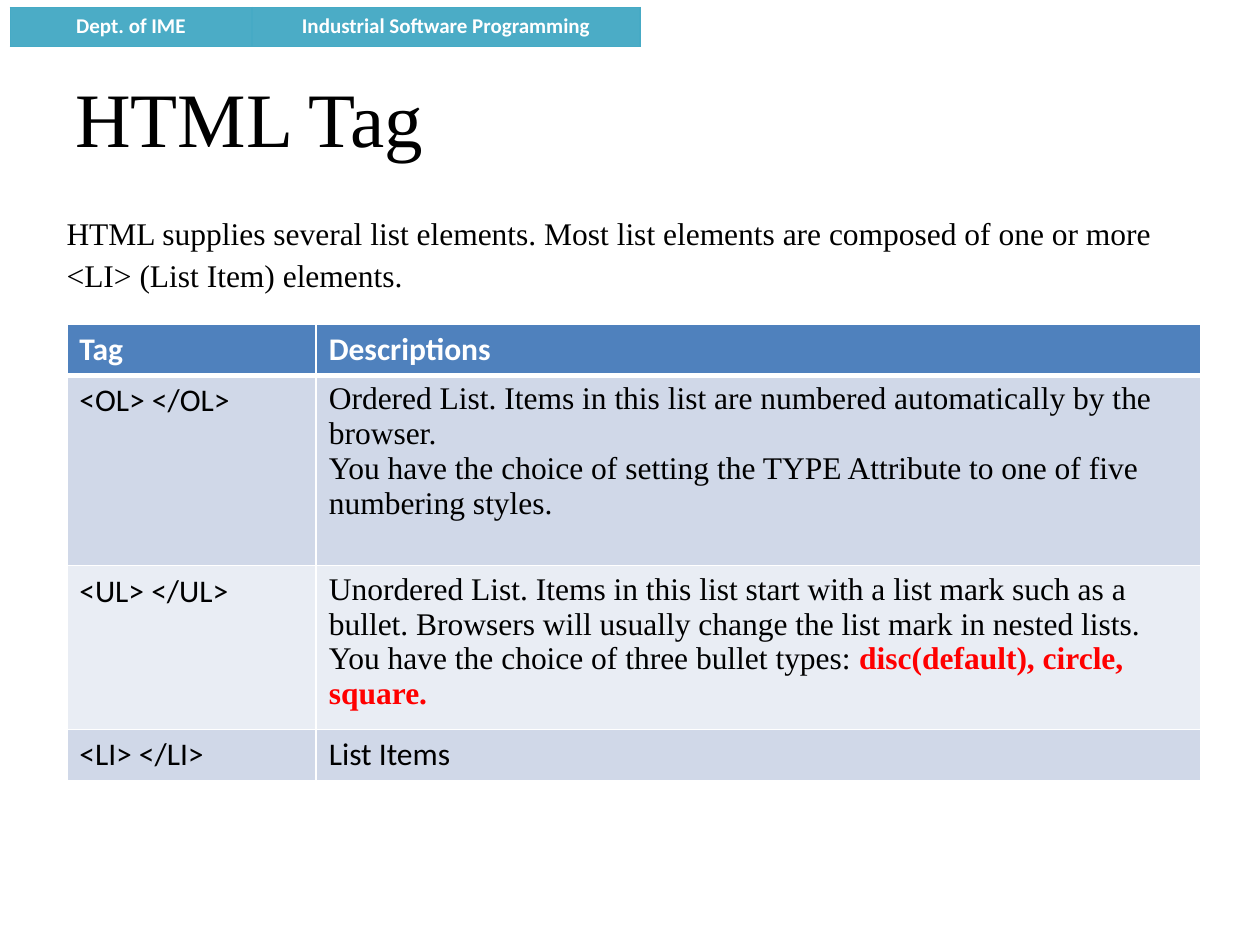
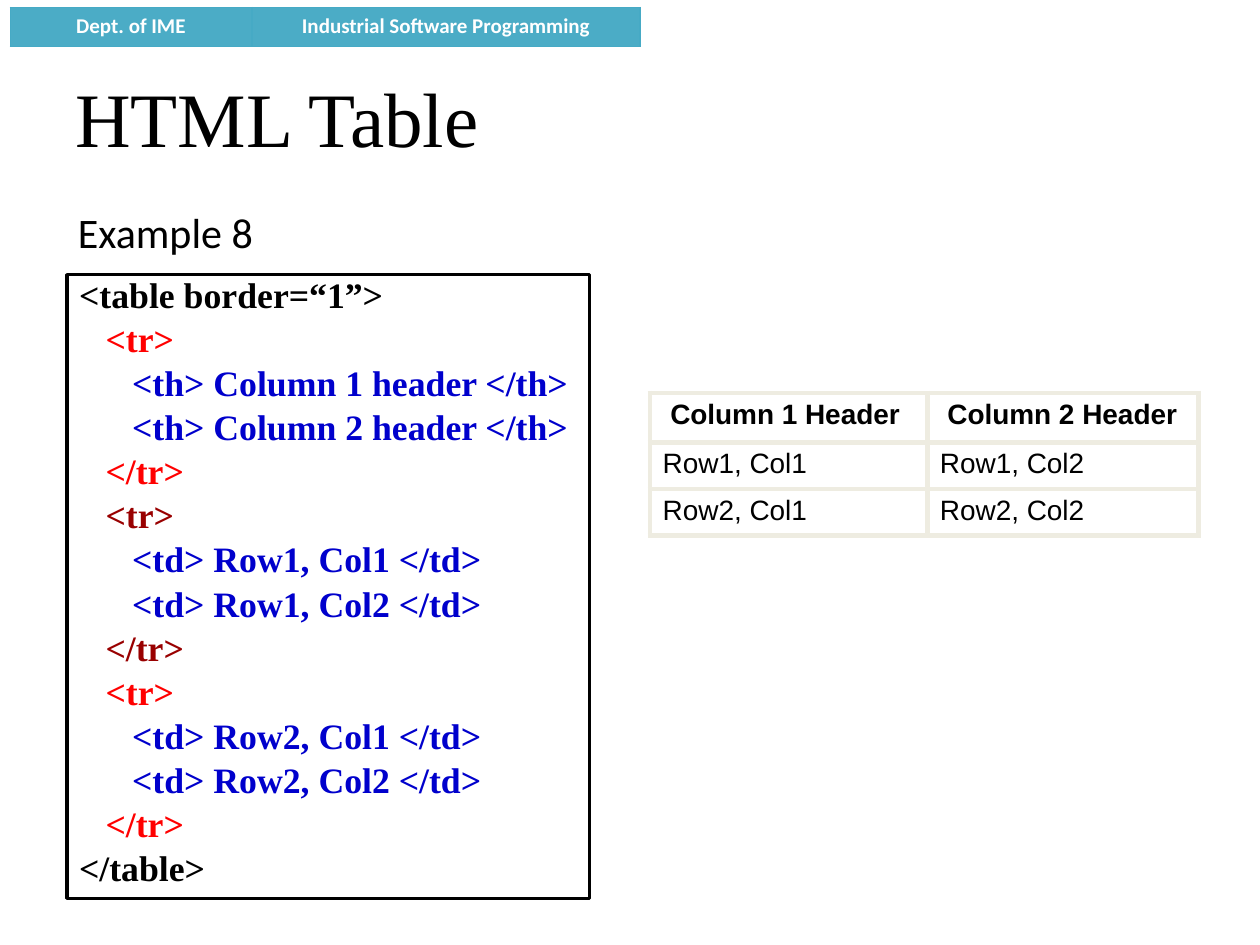
import pptx
import pptx.util
import pptx.dml.color
import pptx.enum.shapes
import pptx.enum.text
import pptx.oxml
import pptx.oxml.ns

Inches = pptx.util.Inches
Pt = pptx.util.Pt

SERIF, SANS, ARIAL = "Times New Roman", "Calibri", "Arial"
BLACK, WHITE, RED = "000000", "FFFFFF", "FF0000"
BAND, BAND_EDGE, HEADER = "4BACC6", "46AAC5", "4F81BD"
ROW_DARK, ROW_LIGHT, GRID = "D0D8E8", "E9EDF4", "EEECE1"
BLUE, MAROON = "0000CC", "990000"


def rgb(value):
    """Return the colour for a hex string."""
    return pptx.dml.color.RGBColor.from_string(value)


def style(font, size, name=SERIF, color=BLACK, bold=False):
    """Set size, typeface, colour and weight of a font."""
    font.size, font.name, font.bold = Pt(size), name, bold
    font.color.rgb = rgb(color)


def write(tf, lines, size, **look):
    """Fill a text frame with one paragraph per line and return the paragraphs."""
    tf.text = "\n".join(lines)
    for p in tf.paragraphs:
        style(p.font, size, **look)
    return tf.paragraphs


def indent(p, left):
    """Set the left margin of a paragraph."""
    p._p.get_or_add_pPr().set("marL", str(Inches(left)))


def add_text(s, box, text, size, wrap=True, **look):
    """Add a text box holding one paragraph."""
    tf = s.shapes.add_textbox(*map(Inches, box)).text_frame
    tf.word_wrap = wrap
    return tf, write(tf, [text], size, **look)[0]


def add_grid(s, left, top, cols, rows):
    """Add a plain table with the given column widths and row heights."""
    box = map(Inches, (left, top, sum(cols), sum(rows)))
    table = s.shapes.add_table(len(rows), len(cols), *box).table
    table.first_row = table.horz_banding = False
    for column, width in zip(table.columns, cols):
        column.width = Inches(width)
    for row, height in zip(table.rows, rows):
        row.height = Inches(height)
    return table


def border(cell, color, width=1, bottom=None):
    """Draw the four borders of a cell."""
    tc_pr = cell._tc.get_or_add_tcPr()
    for i, side in enumerate("LRTB"):
        points = bottom if side == "B" and bottom else width
        tc_pr.insert(i, pptx.oxml.parse_xml(
            f'<a:ln{side} {pptx.oxml.ns.nsdecls("a")} w="{Pt(points)}"><a:solidFill>'
            f'<a:srgbClr val="{color}"/></a:solidFill></a:ln{side}>'))


def fill(shape, color):
    """Give a shape or cell a solid fill."""
    shape.fill.solid()
    shape.fill.fore_color.rgb = rgb(color)


def add_band(s, left, top):
    """Add the course band at the top of the slide."""
    table = add_grid(s, left, top, (1.92, 3.08), (0.31,))
    for cell, text in zip(table.iter_cells(), ("Dept. of IME", "Industrial Software Programming")):
        fill(cell, BAND)
        border(cell, BAND_EDGE, 0.75)
        p = write(cell.text_frame, [text], 12, name=SANS, color=WHITE, bold=True)[0]
        p.alignment = pptx.enum.text.PP_ALIGN.CENTER


def new_slide(prs, title):
    """Add a blank slide with the band and a title."""
    s = prs.slides.add_slide(prs.slide_layouts[6])
    add_band(s, 0.08, 0.06)
    tf, _ = add_text(s, (0.5, 0.3, 9, 1.25), title, 44)
    tf.vertical_anchor = pptx.enum.text.MSO_ANCHOR.MIDDLE
    return s


def add_tag_table(s, left, top):
    """Add the table of list tags and their descriptions."""
    ordered = ["Ordered List. Items in this list are numbered automatically by the browser.",
               "You have the choice of setting the TYPE Attribute to one of five numbering styles."]
    unordered = ["Unordered List. Items in this list start with a list mark such as a bullet. "
                 "Browsers will usually change the list mark in nested lists.",
                 "You have the choice of three bullet types: "]
    rows = [("Tag", ["Descriptions"], SANS, HEADER),
            ("<OL> </OL>", ordered, SERIF, ROW_DARK),
            ("<UL> </UL>", unordered, SERIF, ROW_LIGHT),
            ("<LI> </LI>", ["List Items"], SANS, ROW_DARK)]
    table = add_grid(s, left, top, (1.98, 7.02), (0.41, 1.51, 1.21, 0.41))
    for i, (tag, lines, name, color) in enumerate(rows):
        head = i == 0
        look = {"color": WHITE if head else BLACK, "bold": head}
        for cell in table.rows[i].cells:
            fill(cell, color)
            border(cell, WHITE, 1, 3 if head else 1)
        write(table.cell(i, 0).text_frame, [tag], 18, name=SANS, **look)
        write(table.cell(i, 1).text_frame, lines, 18, name=name, **look)
    r = table.cell(2, 1).text_frame.paragraphs[-1].add_run()
    r.text = "disc(default), circle, square."
    style(r.font, 18, color=RED, bold=True)


def code_lines():
    """Return the (level, text, colour) lines of the table markup."""
    rows = [("th", ("Column 1 header", "Column 2 header"), RED),
            ("td", ("Row1, Col1", "Row1, Col2"), MAROON),
            ("td", ("Row2, Col1", "Row2, Col2"), RED)]
    lines = [(0, "<table border=“1”>", BLACK)]
    for tag, cells, color in rows:
        lines.append((1, "<tr>", color))
        lines += [(2, f"<{tag}> {text} </{tag}>", BLUE) for text in cells]
        lines.append((1, "</tr>", color))
    return lines + [(0, "</table>", BLACK)]


def add_code(s, box):
    """Add the framed markup listing."""
    sp = s.shapes.add_shape(pptx.enum.shapes.MSO_SHAPE.RECTANGLE, *map(Inches, box))
    sp.shadow.inherit = False
    fill(sp, WHITE)
    sp.line.color.rgb = rgb(BLACK)
    sp.line.width = Pt(2)
    tf = sp.text_frame
    tf.word_wrap = True
    tf.vertical_anchor = pptx.enum.text.MSO_ANCHOR.TOP
    lines = code_lines()
    for p, (level, _, color) in zip(write(tf, [text for _, text, _ in lines], 20.4), lines):
        style(p.font, 20.4, color=color, bold=True)
        p.alignment = pptx.enum.text.PP_ALIGN.LEFT
        p.line_spacing = 0.8
        p.space_before = Pt(5.6)
        indent(p, 0.21 * level)


def add_result(s, left, top):
    """Add the table that the markup produces."""
    table = add_grid(s, left, top, (2.2, 2.15), (0.39, 0.37, 0.37))
    for i, row in enumerate(table.rows):
        for j, cell in enumerate(row.cells, 1):
            text = f"Row{i}, Col{j}" if i else f"Column {j} Header"
            cell.fill.background()
            border(cell, GRID, 3)
            p = write(cell.text_frame, [text], 16, name=ARIAL, bold=i == 0)[0]
            if i == 0:
                indent(p, 0.06)


def build_tag_slide(prs):
    """Build the slide on list tags."""
    s = new_slide(prs, "HTML Tag")
    add_tag_table(s, 0.53, 2.57)
    _, p = add_text(s, (0.43, 1.62, 8.9, 0.71),
                    "HTML supplies several list elements. Most list elements are composed "
                    "of one or more <LI> (List Item) elements.", 18)
    p.line_spacing = 1.1


def build_table_slide(prs):
    """Build the slide on table markup."""
    s = new_slide(prs, "HTML Table")
    add_code(s, (0.53, 2.18, 4.15, 4.95))
    add_text(s, (0.52, 1.59, 1.6, 0.5), "Example 8", 24, wrap=False, name=SANS)
    add_result(s, 5.16, 3.12)


def main():
    """Build and save the presentation."""
    prs = pptx.Presentation()
    prs.slide_width, prs.slide_height = Inches(10), Inches(7.5)
    build_tag_slide(prs)
    build_table_slide(prs)
    prs.save("out.pptx")


main()
